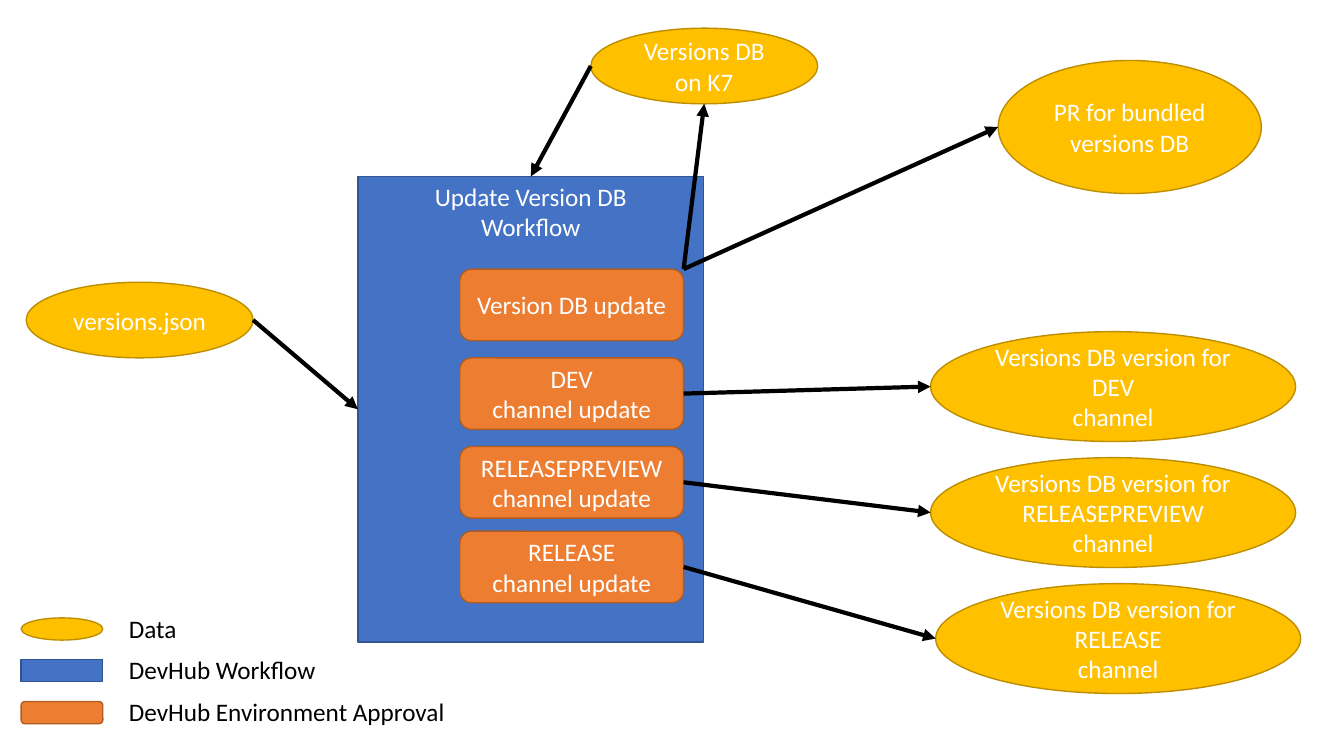
from pptx import Presentation
from pptx import util as u
from pptx.dml.color import RGBColor
from pptx.enum import shapes, text
from pptx.oxml import ns
from lxml import etree

WHITE = RGBColor(0xFF, 0xFF, 0xFF)
BLACK = RGBColor(0, 0, 0)
BLUE = RGBColor(0x44, 0x72, 0xC4)
BLUE_EDGE = RGBColor(0x32, 0x54, 0x91)
GOLD = RGBColor(0xFF, 0xC0, 0)
GOLD_EDGE = RGBColor(0xBD, 0x8E, 0)
ORANGE = RGBColor(0xED, 0x7D, 0x31)
ORANGE_EDGE = RGBColor(0xAF, 0x5C, 0x24)

KINDS = {
    "data": (shapes.MSO_SHAPE.OVAL, GOLD, GOLD_EDGE),
    "workflow": (shapes.MSO_SHAPE.RECTANGLE, BLUE, BLUE_EDGE),
    "approval": (shapes.MSO_SHAPE.ROUNDED_RECTANGLE, ORANGE, ORANGE_EDGE),
}


def write_text(shape, content, color=WHITE, align=text.PP_ALIGN.CENTER,
               anchor=text.MSO_ANCHOR.MIDDLE):
    """Fill a shape with formatted text."""
    frame = shape.text_frame
    frame.text = content
    frame.word_wrap = True
    frame.vertical_anchor = anchor
    for paragraph in frame.paragraphs:
        paragraph.alignment = align
        for run in paragraph.runs:
            run.font.name = "Calibri"
            run.font.size = u.Pt(18)
            run.font.color.rgb = color


def add_node(slide, kind, box, content="", **text_format):
    """Add a shape in the style of its kind, with optional text."""
    preset, fill, edge = KINDS[kind]
    shape = slide.shapes.add_shape(preset, *map(u.Inches, box))
    shape.shadow.inherit = False
    shape.fill.solid()
    shape.fill.fore_color.rgb = fill
    shape.line.color.rgb = edge
    shape.line.width = u.Pt(1)
    if content:
        write_text(shape, content, **text_format)
    return shape


def point_on(shape, across, down):
    """Return the point at the given fractions of a shape's box."""
    return (round(shape.left + across * shape.width),
            round(shape.top + down * shape.height))


def add_arrow(slide, start, end):
    """Add a thick black arrow between two points."""
    arrow = slide.shapes.add_connector(shapes.MSO_CONNECTOR.STRAIGHT, *start, *end)
    arrow.line.color.rgb = BLACK
    arrow.line.width = u.Pt(3)
    outline = arrow.line._get_or_add_ln()
    etree.SubElement(outline, ns.qn("a:tailEnd"), type="triangle")
    etree.SubElement(arrow._element.spPr, ns.qn("a:effectLst"))


def add_legend(slide):
    """Add the key to the three kinds of shape."""
    entries = (
        ("data", 6.13, 6.04, "Data", 0.75),
        ("workflow", 6.54, 6.44, "DevHub Workflow", 2.3),
        ("approval", 6.96, 6.86, "DevHub Environment Approval", 3.6),
    )
    for kind, swatch_top, label_top, label, width in entries:
        add_node(slide, kind, (0.21, swatch_top, 0.81, 0.22))
        label_box = slide.shapes.add_textbox(
            *map(u.Inches, (1.18, label_top, width, 0.4)))
        write_text(label_box, label, color=BLACK, align=text.PP_ALIGN.LEFT,
                   anchor=text.MSO_ANCHOR.TOP)


def main():
    """Build the version update workflow slide."""
    presentation = Presentation()
    presentation.slide_width = u.Inches(13.33)
    presentation.slide_height = u.Inches(7.5)
    slide = presentation.slides.add_slide(presentation.slide_layouts[6])

    workflow = add_node(slide, "workflow", (3.55, 1.75, 3.43, 4.62),
                        "Update Version DB\nWorkflow", anchor=text.MSO_ANCHOR.TOP)
    source = add_node(slide, "data", (0.26, 2.8, 2.25, 0.75), "versions.json")
    database = add_node(slide, "data", (5.86, 0.28, 2.25, 0.75), "Versions DB on K7")
    bundle = add_node(slide, "data", (9.9, 0.6, 2.61, 1.32),
                      "PR for bundled versions DB")
    update = add_node(slide, "approval", (4.56, 2.67, 2.22, 0.71), "Version DB update")

    add_arrow(slide, point_on(source, 1, 0.5), point_on(workflow, 0, 0.5))
    add_arrow(slide, point_on(database, 0, 0.5), point_on(workflow, 0.5, 0))
    add_arrow(slide, point_on(update, 1, 0), point_on(database, 0.5, 1))
    add_arrow(slide, point_on(update, 1, 0), point_on(bundle, 0, 0.5))

    channels = (
        ("DEV\vchannel update", 3.55, "DEV\nchannel", 9.23, 3.29),
        ("RELEASEPREVIEW channel update", 4.43, "RELEASEPREVIEW channel", 9.23, 4.54),
        ("RELEASE\vchannel update", 5.27, "RELEASE\nchannel", 9.28, 5.79),
    )
    for step, step_top, channel, left, top in channels:
        approval = add_node(slide, "approval", (4.56, step_top, 2.22, 0.71), step)
        version = add_node(slide, "data", (left, top, 3.62, 1.09),
                           f"Versions DB version for {channel}")
        add_arrow(slide, point_on(approval, 1, 0.5), point_on(version, 0, 0.5))

    add_legend(slide)
    presentation.save("out.pptx")


main()
